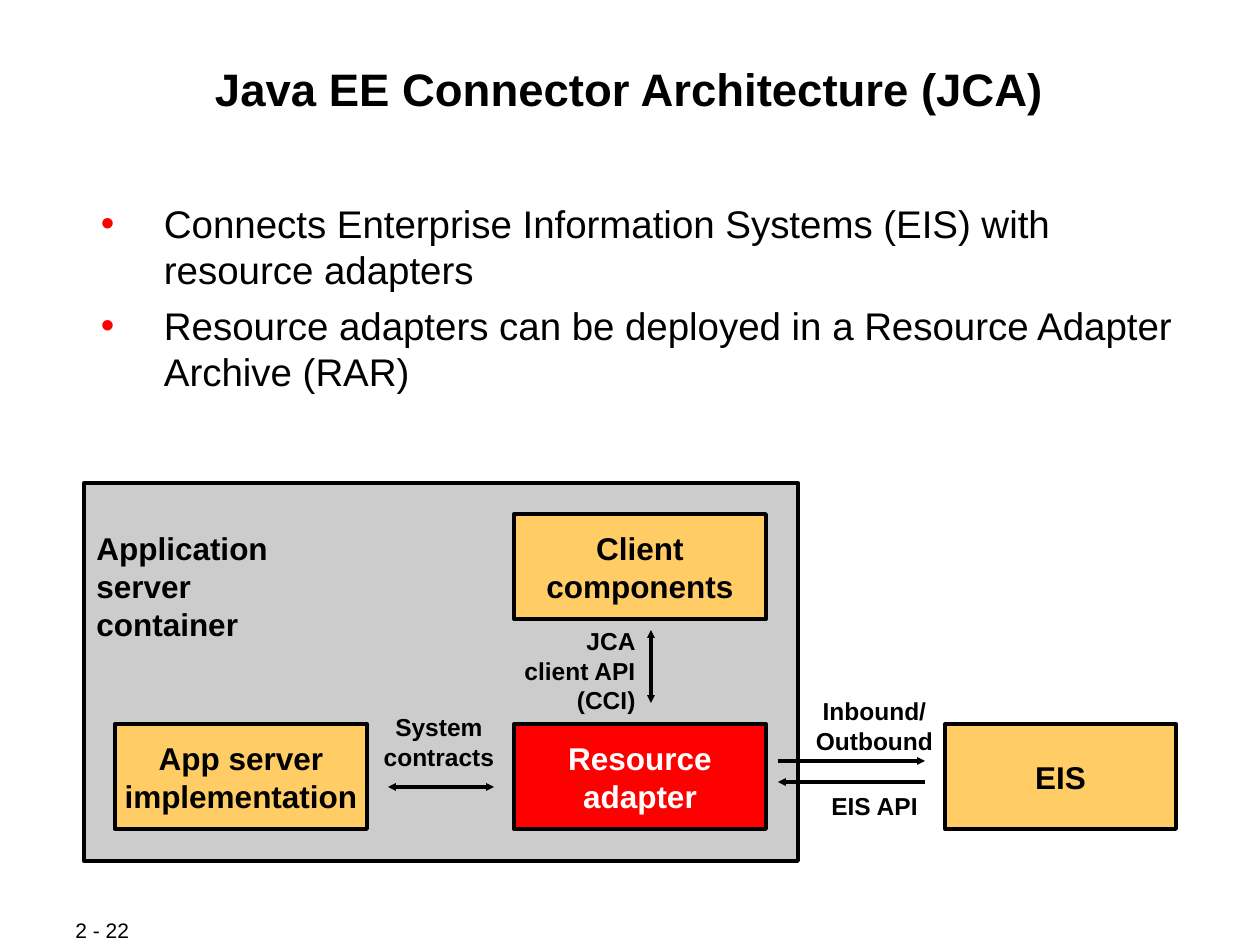
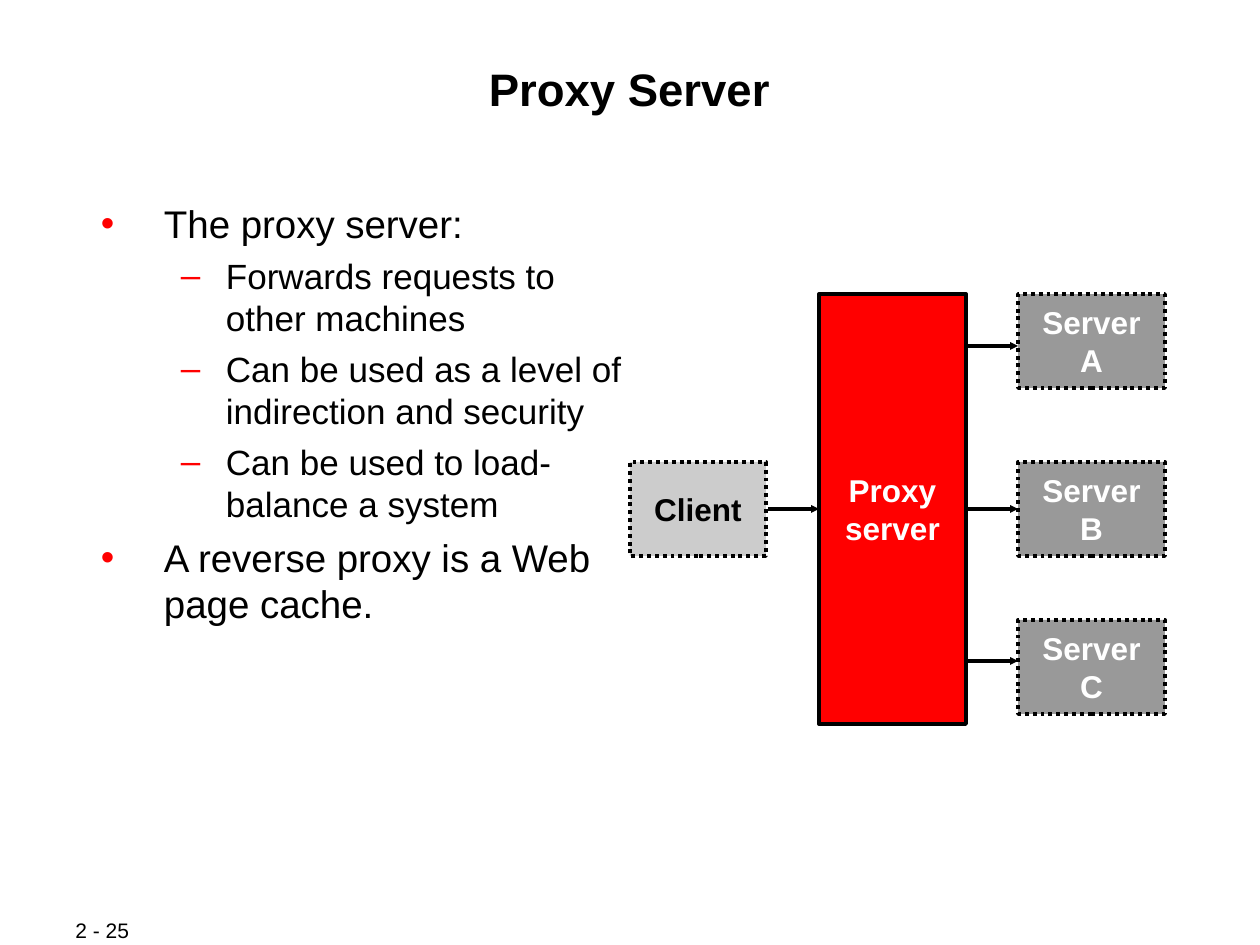
"""Builds two slides on the Java EE connector architecture and the proxy server."""
import pptx
import pptx.util
import pptx.dml.color
import pptx.enum.text
import pptx.enum.dml
import pptx.enum.shapes
import pptx.oxml
import lxml.etree

UNIT = 914400 / 126
FONT = "Arial"
HUES = {"black": "000000", "white": "FFFFFF", "red": "FF0000",
        "sand": "FFCC66", "light": "CCCCCC", "gray": "999999"}
RGB = {name: pptx.dml.color.RGBColor.from_string(code) for name, code in HUES.items()}
ALIGN = pptx.enum.text.PP_ALIGN
ANCHOR = pptx.enum.text.MSO_ANCHOR
Pt = pptx.util.Pt
LINE = Pt(2.25)
NS = pptx.oxml.ns.qn


def box(slide, area, text, size=18, fill=None, ink="black", align=ALIGN.CENTER,
        bold=True, dash=False, gap=0):
    area = [round(n * UNIT) for n in area]
    if fill:
        shape = slide.shapes.add_shape(pptx.enum.shapes.MSO_SHAPE.RECTANGLE, *area)
        shape.shadow.inherit = False
        shape.fill.solid()
        shape.fill.fore_color.rgb = RGB[fill]
        shape.line.color.rgb = RGB["black"]
        shape.line.width = LINE
        if dash:
            shape.line.dash_style = pptx.enum.dml.MSO_LINE.ROUND_DOT
    else:
        shape = slide.shapes.add_textbox(*area)
    frame = shape.text_frame
    frame.text = text
    frame.word_wrap = False
    frame.vertical_anchor = ANCHOR.MIDDLE if fill else ANCHOR.TOP
    for para in frame.paragraphs:
        para.alignment = align
        para.space_before = Pt(gap)
        para.font.name = FONT
        para.font.size = Pt(size)
        para.font.bold = bold
        para.font.color.rgb = RGB[ink]
    return shape


def arrow(slide, ends, both=False):
    line = slide.shapes.add_connector(
        pptx.enum.shapes.MSO_CONNECTOR.STRAIGHT, *[round(n * UNIT) for n in ends])
    line.line.color.rgb = RGB["black"]
    line.line.width = LINE
    props = line._element.spPr
    for tag in ["a:headEnd", "a:tailEnd"] if both else ["a:tailEnd"]:
        lxml.etree.SubElement(props.find(NS("a:ln")), NS(tag), type="triangle", w="sm", len="sm")
    lxml.etree.SubElement(props, NS("a:effectLst"))


deck = pptx.Presentation()
deck.slide_width = round(1260 * UNIT)
deck.slide_height = round(945 * UNIT)

LEVELS = {1: ("•", 22, 79, 63, 5.5), 2: ("–", 20, 141, 45, 5)}
PAGES = [
    ("Java EE Connector Architecture (JCA)", "2 - 22", (1091, 198), [
        (1, "Connects Enterprise Information Systems (EIS) with resource adapters"),
        (1, "Resource adapters can be deployed in a Resource Adapter Archive (RAR)")]),
    ("Proxy Server", "2 - 25", (546, 430), [
        (1, "The proxy server:"),
        (2, "Forwards requests to other machines"),
        (2, "Can be used as a level of indirection and security"),
        (2, "Can be used to load-balance a system"),
        (1, "A reverse proxy is a Web page cache.")]),
]

for head, page, extent, points in PAGES:
    slide = deck.slides.add_slide(deck.slide_layouts[5])
    title = slide.shapes.title
    title.left, title.top, title.width, title.height = [
        round(n * UNIT) for n in (84, 60, 1091, 121)]
    body = slide.shapes.add_textbox(*[round(n * UNIT) for n in (84, 199, *extent)])
    for frame in (title.text_frame, body.text_frame):
        frame.word_wrap = True
        frame.auto_size = pptx.enum.text.MSO_AUTO_SIZE.NONE
        frame.vertical_anchor = ANCHOR.TOP
        frame.margin_left = frame.margin_right = round(UNIT)
        frame.margin_top = frame.margin_bottom = round(UNIT)
    title.text_frame.text = head
    para = title.text_frame.paragraphs[0]
    para.alignment = ALIGN.CENTER
    para.space_before = Pt(6.5)
    para.font.name = FONT
    para.font.size = Pt(26)
    para.font.bold = True
    para.font.color.rgb = RGB["black"]

    body.text_frame.text = "\n".join(text for level, text in points)
    for para, (level, text) in zip(body.text_frame.paragraphs, points):
        mark, size, left, hang, gap = LEVELS[level]
        para.level = level - 1
        para.space_before = Pt(gap)
        para.font.name = FONT
        para.font.size = Pt(size)
        para.font.color.rgb = RGB["black"]
        props = para._p.get_or_add_pPr()
        props.set("marL", str(round(left * UNIT)))
        props.set("indent", str(round(-hang * UNIT)))
        tint = lxml.etree.SubElement(props, NS("a:buClr"))
        lxml.etree.SubElement(tint, NS("a:srgbClr"), val=HUES["red"])
        lxml.etree.SubElement(props, NS("a:buFont"), typeface=FONT)
        lxml.etree.SubElement(props, NS("a:buChar"), char=mark)
    foot = box(slide, (63, 917, 134, 26), page, 12, align=ALIGN.LEFT, bold=False)
    foot.text_frame.vertical_anchor = ANCHOR.MIDDLE

jca, proxy = deck.slides

host = box(jca, (84, 483, 714, 378), "Application\vserver\vcontainer", fill="light", align=ALIGN.LEFT)
host.text_frame.vertical_anchor = ANCHOR.TOP
host.text_frame.margin_top = round(46 * UNIT)
for left, top, width, text, fill, ink in [
        (514, 514, 252, "Client\vcomponents", "sand", "black"),
        (514, 724, 252, "Resource\vadapter", "red", "white"),
        (115, 724, 252, "App server\vimplementation", "sand", "black"),
        (945, 724, 231, "EIS", "sand", "black")]:
    box(jca, (left, top, width, 105), text, fill=fill, ink=ink, gap=4.5)
for area, text, align in [
        ((371, 706, 136, 72), "System\vcontracts", ALIGN.CENTER),
        ((511, 620, 137, 101), "JCA\vclient API\v(CCI)", ALIGN.RIGHT),
        ((803, 690, 143, 137), "Inbound/\vOutbound\nEIS API", ALIGN.CENTER)]:
    label = box(jca, area, text, 14, align=align, gap=3.5)
label.text_frame.paragraphs[1].space_before = Pt(20.5)
arrow(jca, (388, 787, 494, 787), True)
arrow(jca, (651, 703, 651, 630), True)
arrow(jca, (778, 761, 925, 761))
arrow(jca, (925, 782, 778, 782))

box(proxy, (819, 294, 147, 430), "Proxy\nserver", fill="red", ink="white")
box(proxy, (630, 462, 136, 94), "Client", fill="light", dash=True)
arrow(proxy, (768, 509, 819, 509))
for name, top, mid in [("A", 294, 346), ("B", 462, 509), ("C", 620, 661)]:
    box(proxy, (1018, top, 147, 94), "Server\n" + name, fill="gray", ink="white", dash=True)
    arrow(proxy, (966, mid, 1018, mid))

deck.save("out.pptx")
